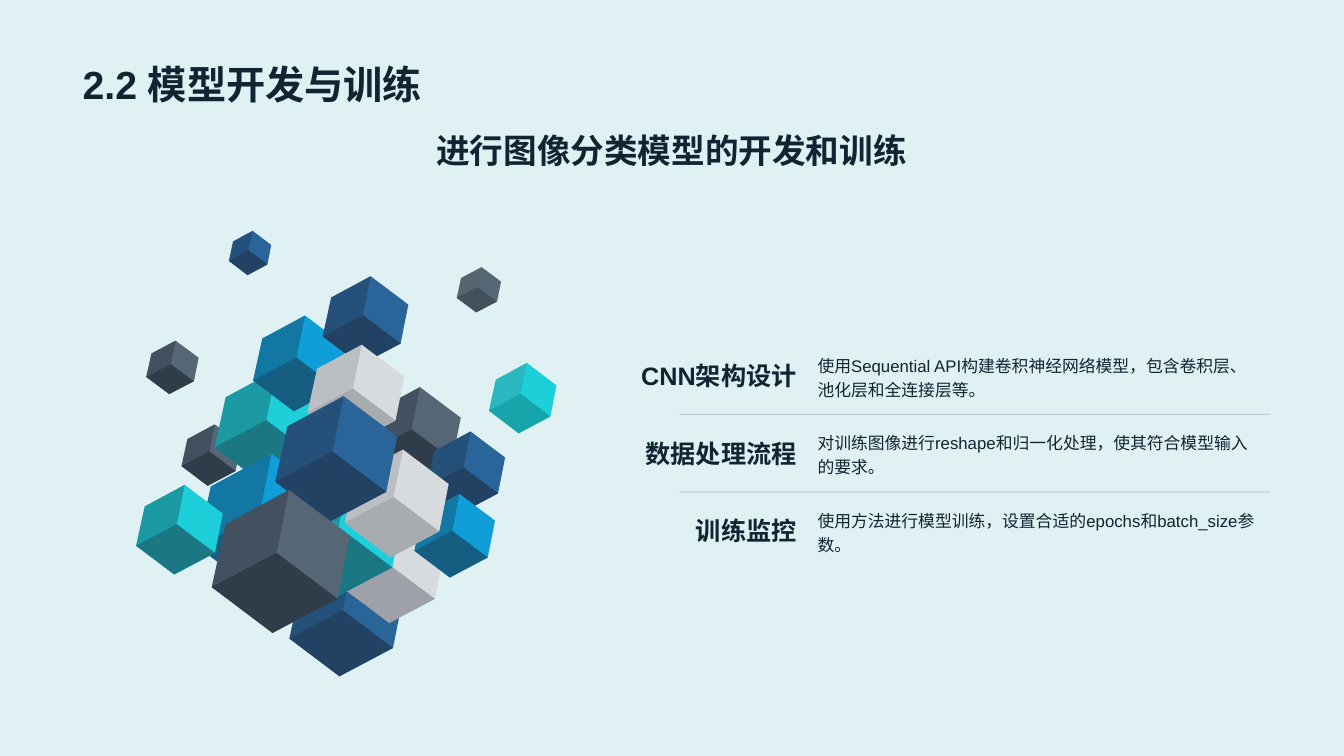
import pptx
import pptx.dml.color
import pptx.enum.shapes
import pptx.enum.text
import pptx.oxml.ns
import pptx.oxml.xmlchemy
import pptx.util

PX = 9144
BACKGROUND = pptx.dml.color.RGBColor(0xE0, 0xF1, 0xF4)
INK = pptx.dml.color.RGBColor(0x0F, 0x25, 0x32)
RULE = pptx.dml.color.RGBColor(0x77, 0x84, 0x95)
SLATE = pptx.dml.color.RGBColor(0x55, 0x66, 0x75)
TEAL = pptx.dml.color.RGBColor(0x1D, 0xCF, 0xD8)
SKY = pptx.dml.color.RGBColor(0x10, 0x9E, 0xD8)
NAVY = pptx.dml.color.RGBColor(0x2A, 0x65, 0x9A)
SILVER = pptx.dml.color.RGBColor(0xD8, 0xDB, 0xDE)
SHADE = pptx.dml.color.RGBColor(0x1A, 0x20, 0x2E)
GREY = pptx.dml.color.RGBColor(0x5D, 0x5E, 0x5E)
BLACK = pptx.dml.color.RGBColor(0, 0, 0)

ALIGN = pptx.enum.text.PP_ALIGN
ANCHOR = pptx.enum.text.MSO_ANCHOR

TOP, UPPER_LEFT, LOWER_LEFT = (0.56, 0), (0.1, 0.24), (0, 0.68)
BOTTOM, LOWER_RIGHT, UPPER_RIGHT = (0.44, 1), (0.91, 0.76), (1, 0.32)
CENTER = (0.47, 0.44)
OUTLINE = (TOP, UPPER_LEFT, LOWER_LEFT, BOTTOM, LOWER_RIGHT, UPPER_RIGHT)
LEFT_FACE = (TOP, CENTER, LOWER_LEFT, UPPER_LEFT)
LOWER_FACE = (BOTTOM, LOWER_LEFT, CENTER, LOWER_RIGHT)

DARK = ((SHADE, 30), (SHADE, 50))
DARKER = ((SHADE, 30), (SHADE, 60))
PALE = ((SHADE, 15), (SHADE, 25))
SOFT = ((GREY, 20), (BLACK, 20))

CUBES = (
    (180, 421, 59, 61, SLATE, DARKER),
    (213, 367, 109, 113, TEAL, DARK),
    (196, 450, 131, 136, SKY, DARK),
    (485, 360, 67, 70, TEAL, SOFT),
    (227, 229, 42, 44, NAVY, DARK),
    (145, 338, 52, 53, SLATE, DARKER),
    (287, 554, 113, 117, NAVY, DARK),
    (135, 481, 86, 89, TEAL, DARK),
    (344, 519, 96, 99, SILVER, (None, (SHADE, 30))),
    (279, 468, 121, 125, TEAL, DARK),
    (365, 384, 92, 95, SLATE, DARKER),
    (453, 265, 44, 45, SLATE, SOFT),
    (423, 428, 78, 81, NAVY, DARK),
    (411, 490, 80, 83, SKY, DARK),
    (342, 446, 103, 107, SILVER, PALE),
    (251, 313, 92, 95, SKY, DARK),
    (320, 274, 85, 88, NAVY, DARK),
    (305, 342, 96, 99, SILVER, PALE),
    (273, 393, 121, 125, NAVY, DARK),
    (210, 486, 137, 142, SLATE, DARKER),
)

TOPICS = (
    ("CNN架构设计", "使用Sequential API构建卷积神经网络模型，包含卷积层、池化层和全连接层等。"),
    ("数据处理流程", "对训练图像进行reshape和归一化处理，使其符合模型输入的要求。"),
    ("训练监控", "使用方法进行模型训练，设置合适的epochs和batch_size参数。"),
)


def set_opacity(properties, percent):
    color = properties.find(".//" + pptx.oxml.ns.qn("a:srgbClr"))
    alpha = pptx.oxml.xmlchemy.OxmlElement("a:alpha")
    alpha.set("val", str(percent * 1000))
    color.append(alpha)


def place(shape, left, top, width, height):
    shape.left, shape.top = left * PX, top * PX
    shape.width, shape.height = width * PX, height * PX


def write_text(shape, text, size, bold=False, align=ALIGN.LEFT,
               anchor=ANCHOR.TOP, line_spacing=1.0):
    frame = shape.text_frame
    frame.word_wrap = True
    frame.auto_size = pptx.enum.text.MSO_AUTO_SIZE.NONE
    frame.vertical_anchor = anchor
    paragraph = frame.paragraphs[0]
    paragraph.alignment = align
    paragraph.line_spacing = line_spacing
    run = paragraph.add_run()
    run.text = text
    run.font.name = "Arial"
    run.font.size = pptx.util.Pt(size)
    run.font.bold = bold
    run.font.color.rgb = INK


def add_text(slide, box, text, **text_format):
    shape = slide.shapes.add_textbox(0, 0, 0, 0)
    place(shape, *box)
    write_text(shape, text, **text_format)


def add_face(slide, box, corners, color, opacity=100):
    left, top, width, height = box
    points = [(round((left + x * width) * PX), round((top + y * height) * PX))
              for x, y in corners]
    builder = slide.shapes.build_freeform(*points[0], scale=1.0)
    builder.add_line_segments(points[1:], close=True)
    shape = builder.convert_to_shape()
    shape.shadow.inherit = False
    shape.line.fill.background()
    shape.fill.solid()
    shape.fill.fore_color.rgb = color
    if opacity < 100:
        set_opacity(shape.element.spPr, opacity)


def add_cube(slide, box, color, shades):
    add_face(slide, box, OUTLINE, color)
    for corners, shade in zip((LEFT_FACE, LOWER_FACE), shades):
        if shade:
            add_face(slide, box, corners, *shade)


def add_rule(slide, left, right, top):
    line = slide.shapes.add_connector(
        pptx.enum.shapes.MSO_CONNECTOR.STRAIGHT,
        left * PX, top * PX, right * PX, top * PX)
    line.line.color.rgb = RULE
    line.line.width = pptx.util.Pt(0.5)
    properties = line._element.spPr
    set_opacity(properties, 50)
    properties.append(pptx.oxml.xmlchemy.OxmlElement("a:effectLst"))


def add_headings(slide, left, top, width):
    title = slide.shapes.title
    place(title, left, top, width, 98)
    write_text(title, "2.2 模型开发与训练", size=28, bold=True, anchor=ANCHOR.BOTTOM)
    add_text(slide, (left, top + 110, width, 50), "进行图像分类模型的开发和训练",
             size=24, bold=True, align=ALIGN.CENTER)


def add_topics(slide, left, top, width):
    label_width, row_height, pitch = 210, 71, 77
    for index, (label, detail) in enumerate(TOPICS):
        row_top = top + index * pitch
        if index:
            add_rule(slide, left + 84, left + width, row_top - 3)
        add_text(slide, (left, row_top, label_width, row_height), label,
                 size=18, bold=True, align=ALIGN.RIGHT, anchor=ANCHOR.MIDDLE)
        add_text(slide, (left + label_width + 1, row_top, width - label_width - 1, row_height),
                 detail, size=12, anchor=ANCHOR.MIDDLE, line_spacing=1.2)


def main():
    presentation = pptx.Presentation()
    presentation.slide_width = 1333 * PX
    presentation.slide_height = 750 * PX
    slide = presentation.slides.add_slide(presentation.slide_layouts[5])
    slide.background.fill.solid()
    slide.background.fill.fore_color.rgb = BACKGROUND
    add_headings(slide, 72, 14, 1188)
    for *box, color, shades in CUBES:
        add_cube(slide, box, color, shades)
    add_topics(slide, 590, 337, 670)
    presentation.save("out.pptx")


if __name__ == "__main__":
    main()
